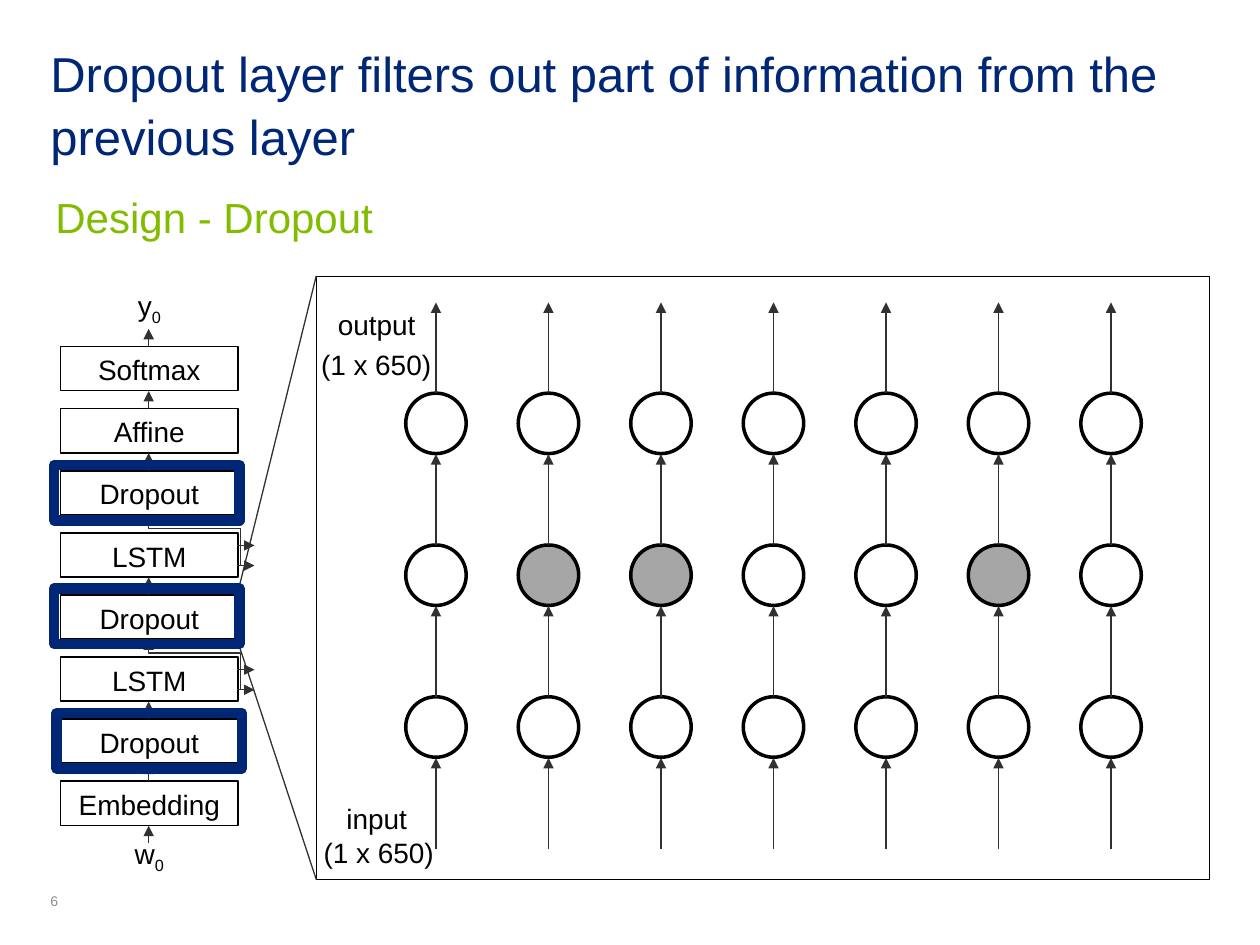
import pptx
import pptx.util
import pptx.dml.color
import pptx.enum.shapes
import pptx.enum.text
import pptx.oxml
import pptx.oxml.ns

RGBColor = pptx.dml.color.RGBColor
Shape = pptx.enum.shapes.MSO_SHAPE
Connector = pptx.enum.shapes.MSO_CONNECTOR
Align = pptx.enum.text.PP_ALIGN
Anchor = pptx.enum.text.MSO_ANCHOR

NAVY = RGBColor(0x00, 0x27, 0x76)
GREEN = RGBColor(0x81, 0xBC, 0x01)
BLACK = RGBColor(0x00, 0x00, 0x00)
WHITE = RGBColor(0xFF, 0xFF, 0xFF)
DROPPED = RGBColor(0xA6, 0xA6, 0xA6)
ARROW = RGBColor(0x31, 0x31, 0x31)
FOOTER = RGBColor(0x8C, 0x8C, 0x8C)

GRID_COLUMNS, GRID_ROWS = 100, 75


class Diagram:
    """Draws in grid units: 100 columns by 75 rows over the slide."""

    font = "Arial"
    line_spacing = 1.06

    def __init__(self, presentation):
        self.column = presentation.slide_width / GRID_COLUMNS
        self.row = presentation.slide_height / GRID_ROWS
        self.slide = presentation.slides.add_slide(presentation.slide_layouts[5])

    def place(self, left, top, width, height):
        return (round(left * self.column), round(top * self.row),
                round(width * self.column), round(height * self.row))

    def set_text(self, shape, runs, size=16, color=BLACK, align=Align.CENTER,
                 anchor=Anchor.MIDDLE, insets=(1, 1, 1, 1), spacing=line_spacing):
        """Fill a shape with one paragraph; runs are (text, baseline) pairs."""
        frame = shape.text_frame
        frame.word_wrap = True
        frame.auto_size = pptx.enum.text.MSO_AUTO_SIZE.NONE
        frame.vertical_anchor = anchor
        (frame.margin_left, frame.margin_top,
         frame.margin_right, frame.margin_bottom) = self.place(*insets)
        paragraph = frame.paragraphs[0]
        paragraph.alignment = align
        paragraph.line_spacing = spacing
        for text, baseline in runs:
            run = paragraph.add_run()
            run.text = text
            run.font.name = self.font
            run.font.size = pptx.util.Pt(size)
            run.font.color.rgb = color
            if baseline:
                run.font._element.set("baseline", str(baseline * 1000))

    def title(self, text, place):
        shape = self.slide.shapes.title
        shape.left, shape.top, shape.width, shape.height = self.place(*place)
        self.set_text(shape, [(text, 0)], 28, NAVY, Align.LEFT, Anchor.TOP, (0, 0, 0, 0))

    def label(self, text, place, **style):
        shape = self.slide.shapes.add_textbox(*self.place(*place))
        self.set_text(shape, [(text, 0)], **style)

    def box(self, place, kind=Shape.RECTANGLE, fill=None, line=None, weight=1):
        shape = self.slide.shapes.add_shape(kind, *self.place(*place))
        shape.shadow.inherit = False
        if fill is None:
            shape.fill.background()
        else:
            shape.fill.solid()
            shape.fill.fore_color.rgb = fill
        if line is None:
            shape.line.fill.background()
        else:
            shape.line.color.rgb = line
            shape.line.width = pptx.util.Pt(weight)
        return shape

    def line(self, start, end, arrow=True, bend=None):
        """Straight line, or a four-part elbow when bend gives its two adjustments."""
        kind = Connector.ELBOW if bend else Connector.STRAIGHT
        connector = self.slide.shapes.add_connector(kind, *self.place(*start, *end))
        connector.line.color.rgb = ARROW
        connector.line.width = pptx.util.Pt(0.75)
        properties = connector._element.spPr
        if arrow:
            outline = properties.find(pptx.oxml.ns.qn("a:ln"))
            self.add_element(outline, "a:tailEnd", type="triangle")
        self.add_element(properties, "a:effectLst")
        if bend:
            geometry = properties.find(pptx.oxml.ns.qn("a:prstGeom"))
            geometry.set("prst", "bentConnector4")
            guides = geometry.find(pptx.oxml.ns.qn("a:avLst"))
            if guides is None:
                guides = self.add_element(geometry, "a:avLst")
            for number, share in enumerate(bend, 1):
                self.add_element(guides, "a:gd", name=f"adj{number}",
                                 fmla=f"val {round(share * 100000)}")

    def add_element(self, parent, tag, **attributes):
        element = pptx.oxml.parse_xml(f"<{tag} {pptx.oxml.ns.nsdecls('a')}/>")
        for name, value in attributes.items():
            element.set(name, value)
        parent.append(element)
        return element


LAYERS = ["Softmax", "Affine", "Dropout", "LSTM", "Dropout", "LSTM", "Dropout", "Embedding"]
STACK_LEFT, STACK_TOP, STACK_STEP = 4.8, 27.5, 4.93
LAYER_WIDTH, LAYER_HEIGHT = 14.1, 3.5
STACK_CENTER, STACK_RIGHT = 11.8, 18.8
STUB = 1.4


def layer_top(index):
    return STACK_TOP + index * STACK_STEP


def draw_stack(diagram):
    # Layers from output down to input
    for index, name in enumerate(LAYERS):
        shape = diagram.box((STACK_LEFT, layer_top(index), LAYER_WIDTH, LAYER_HEIGHT),
                            fill=WHITE, line=BLACK)
        diagram.set_text(shape, [(name, 0)])

    # Output and input symbols
    for index, letter, anchor in [(len(LAYERS), "w", Anchor.BOTTOM), (-1, "y", Anchor.MIDDLE)]:
        shape = diagram.box((STACK_LEFT, layer_top(index), LAYER_WIDTH, LAYER_HEIGHT), fill=WHITE)
        diagram.set_text(shape, [(letter, 0), ("0", -25)], anchor=anchor)

    # Arrows up the stack; each LSTM also feeds the next step
    for index, name in enumerate(LAYERS + ["w"]):
        top = layer_top(index)
        if name == "LSTM":
            diagram.line((STACK_RIGHT, top + 2.6), (STACK_CENTER, top - STUB),
                         bend=(-0.04, 0.73))
            for offset in (1, 2.6):
                diagram.line((STACK_RIGHT, top + offset), (STACK_RIGHT + STUB, top + offset))
        else:
            diagram.line((STACK_CENTER, top), (STACK_CENTER, top - STUB))


def draw_zoom(diagram):
    # Panel and its zoom lines
    left, top, width, height = panel = (25.1, 21.9, 70.9, 47.9)
    diagram.box(panel, line=BLACK, weight=0.5)
    diagram.line((left, top), (19, 46.5), arrow=False)
    diagram.line((left, top + height), (18.8, 50.7), arrow=False)

    # Neurons, with the dropped ones grey in the middle row
    first_left, first_top, size = 32.2, 31.2, 4.8
    column_step, row_step, arrow_length = 8.93, 12.05, 7.2
    for column in range(7):
        x = first_left + column * column_step
        for row in range(4):
            y = first_top + row * row_step
            if row < 3:
                dropped = row == 1 and column in (1, 2, 5)
                diagram.box((x, y, size, size), Shape.OVAL,
                            DROPPED if dropped else WHITE, BLACK, 2)
            center = x + size / 2
            diagram.line((center, y), (center, y - arrow_length))

    # Vector sizes
    diagram.label("input", (24.7, 62.8, 10.4, 4.1))
    diagram.label("output", (24.7, 23.6, 10.4, 4.1))
    diagram.label("(1 x 650)", (21, 64.7, 18.1, 5.8))
    diagram.label("(1 x 650)", (20.8, 25.9, 18.1, 5.8))


def main():
    presentation = pptx.Presentation()
    presentation.slide_width = pptx.util.Inches(10)
    presentation.slide_height = pptx.util.Inches(7.5)
    diagram = Diagram(presentation)

    # Headings and page number
    diagram.title("Dropout layer filters out part of information from the previous layer",
                  (4, 3.2, 92, 5.1))
    diagram.label("Design - Dropout", (4.4, 15, 90, 3.5), size=24, color=GREEN,
                  align=Align.LEFT, anchor=Anchor.TOP, insets=(0, 0, 1, 0.5))
    diagram.label("6", (4, 70.9, 5, 1.3), size=8, color=FOOTER, align=Align.LEFT,
                  anchor=Anchor.BOTTOM, insets=(0, 0, 0, 0), spacing=1)

    draw_stack(diagram)
    draw_zoom(diagram)

    # Frames around the dropout layers
    for left, top in [(4.3, 36.9), (4.3, 46.7), (4.5, 56.6)]:
        diagram.box((left, top, 14.7, 4.4), line=NAVY, weight=6)

    presentation.save("out.pptx")


if __name__ == "__main__":
    main()
